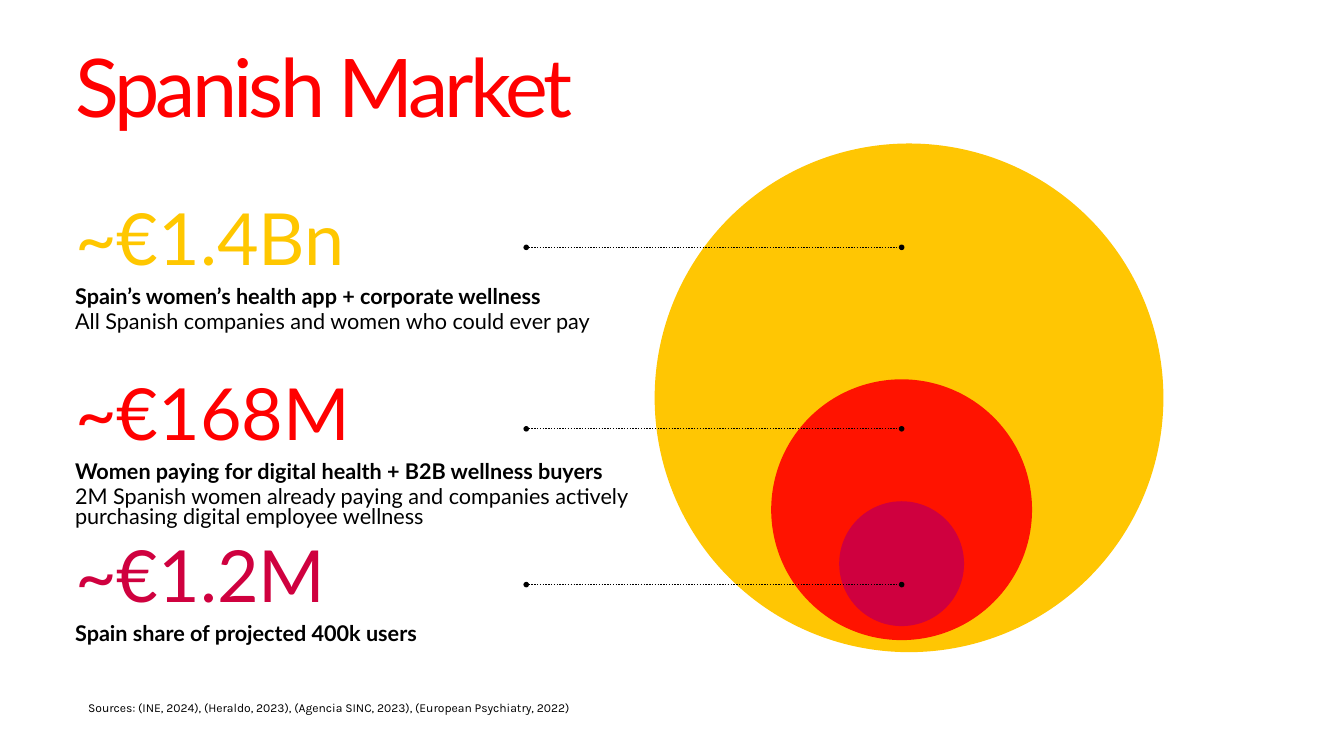
from lxml import etree
from pptx import Presentation, util as u
from pptx.dml.color import RGBColor
from pptx.enum import dml, shapes, text
from pptx.oxml.ns import qn

COLOURS = {"yellow": "FFC700", "amber": "FFC603", "red": "FF0000", "scarlet": "FF1300",
           "crimson": "CF013F", "berry": "CF003F", "black": "000000"}

# Content
TITLE = "Spanish Market"
SOURCES = "Sources: (INE, 2024), (Heraldo, 2023), (Agencia SINC, 2023), (European Psychiatry, 2022)"
MARKETS = [  # top and leader height in cm
    {"amount": "~€1.4Bn", "colour": "yellow", "top": 8.0, "leader": 9.35,
     "heading": "Spain’s women’s health app + corporate wellness",
     "detail": "All Spanish companies and women who could ever pay"},
    {"amount": "~€168M", "colour": "red", "top": 14.6, "leader": 16.21,
     "heading": "Women paying for digital health + B2B wellness buyers",
     "detail": "2M Spanish women already paying and companies "
               "actively purchasing digital employee wellness"},
    {"amount": "~€1.2M", "colour": "crimson", "top": 20.75, "leader": 22.1,
     "heading": "Spain share of projected 400k users", "detail": ""},
]
CIRCLES = [  # centre x, centre y, diameter in cm, colour
    (34.36, 15.04, 19.23, "amber"),
    (34.08, 19.27, 9.86, "scarlet"),
    (34.08, 21.31, 4.72, "berry"),
]

# Text formats: font values, and line spacing in points
FORMATS = {
    "title": ({"name": "Lato", "size": u.Pt(86.7), "bold": False}, 77.2),
    "amount": ({"name": "Lato", "size": u.Pt(77), "bold": False}, 73.1),
    "heading": ({"name": "Lato", "size": u.Pt(23.2), "bold": True}, 22),
    "detail": ({"name": "Lato", "size": u.Pt(23.2), "bold": False}, 22),
    "sources": ({"name": "Karla", "size": u.Pt(13), "bold": False}, 18.2),
}
FRAME = {"margin_left": 0, "margin_right": 0, "margin_top": 0, "margin_bottom": 0,
         "word_wrap": True, "auto_size": text.MSO_AUTO_SIZE.NONE,
         "vertical_anchor": text.MSO_ANCHOR.TOP}
LEFT, TEXT_WIDTH = 2.84, 20.9
LEADER_START, LEADER_END = 19.89, 34.08
HEADING_DROP, DETAIL_DROP = 2.9, 3.86


def rgb(colour):
    return RGBColor.from_string(COLOURS[colour])


def write(box, words, kind, colour="black"):
    values, spacing = FORMATS[kind]
    frame = box.text_frame
    for key, value in FRAME.items():
        setattr(frame, key, value)
    paragraph = frame.paragraphs[0]
    paragraph.alignment = text.PP_ALIGN.LEFT
    paragraph.line_spacing = u.Pt(spacing)
    run = paragraph.add_run()
    run.text = words
    for key, value in values.items():
        setattr(run.font, key, value)
    run.font.color.rgb = rgb(colour)
    return run


def add_text(slide, words, kind, left, top, width, height, colour="black"):
    box = slide.shapes.add_textbox(u.Cm(left), u.Cm(top), u.Cm(width), u.Cm(height))
    write(box, words, kind, colour)


def add_circle(slide, x, y, diameter, colour):
    radius = diameter / 2
    circle = slide.shapes.add_shape(shapes.MSO_SHAPE.OVAL, u.Cm(x - radius), u.Cm(y - radius),
                                    u.Cm(diameter), u.Cm(diameter))
    circle.shadow.inherit = False
    circle.fill.solid()
    circle.fill.fore_color.rgb = rgb(colour)
    circle.line.fill.background()


def add_leader(slide, y):
    leader = slide.shapes.add_connector(shapes.MSO_CONNECTOR.STRAIGHT, u.Cm(LEADER_START),
                                        u.Cm(y), u.Cm(LEADER_END), u.Cm(y))
    leader.line.color.rgb = rgb("black")
    leader.line.width = u.Pt(1.5)
    leader.line.dash_style = dml.MSO_LINE.ROUND_DOT
    outline = leader.line._get_or_add_ln()
    for end in ("a:headEnd", "a:tailEnd"):
        etree.SubElement(outline, qn(end), type="oval")
    etree.SubElement(leader._element.spPr, qn("a:effectLst"))


def main():
    deck = Presentation()
    deck.slide_width, deck.slide_height = u.Cm(50.8), u.Cm(28.58)
    slide = deck.slides.add_slide(deck.slide_layouts[5])

    # Title
    title = slide.shapes.title
    title.left, title.top, title.width, title.height = map(u.Cm, (LEFT, 2.34, 43.38, 2.95))
    write(title, TITLE, "title", "red").font._element.set("spc", "-420")

    # Nested market circles
    for circle in CIRCLES:
        add_circle(slide, *circle)

    # Market figures with their leaders
    for market in MARKETS:
        top = market["top"]
        add_text(slide, market["amount"], "amount", LEFT, top, 13.2, 2.77, market["colour"])
        add_text(slide, market["heading"], "heading", LEFT, top + HEADING_DROP, TEXT_WIDTH, 0.84)
        if market["detail"]:
            add_text(slide, market["detail"], "detail", LEFT, top + DETAIL_DROP, TEXT_WIDTH, 1.6)
        add_leader(slide, market["leader"])

    # Sources
    add_text(slide, SOURCES, "sources", 3.33, 26.37, 28.4, 0.66)
    deck.save("out.pptx")


if __name__ == "__main__":
    main()
